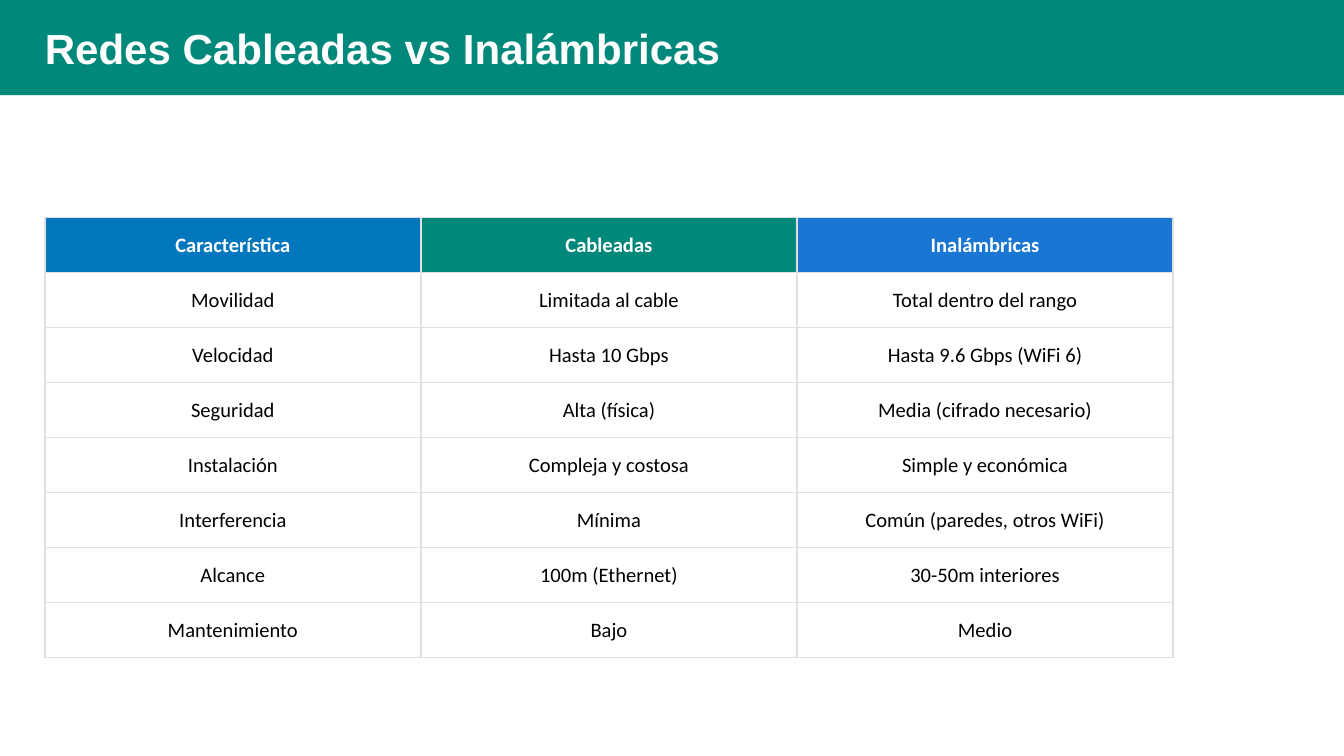
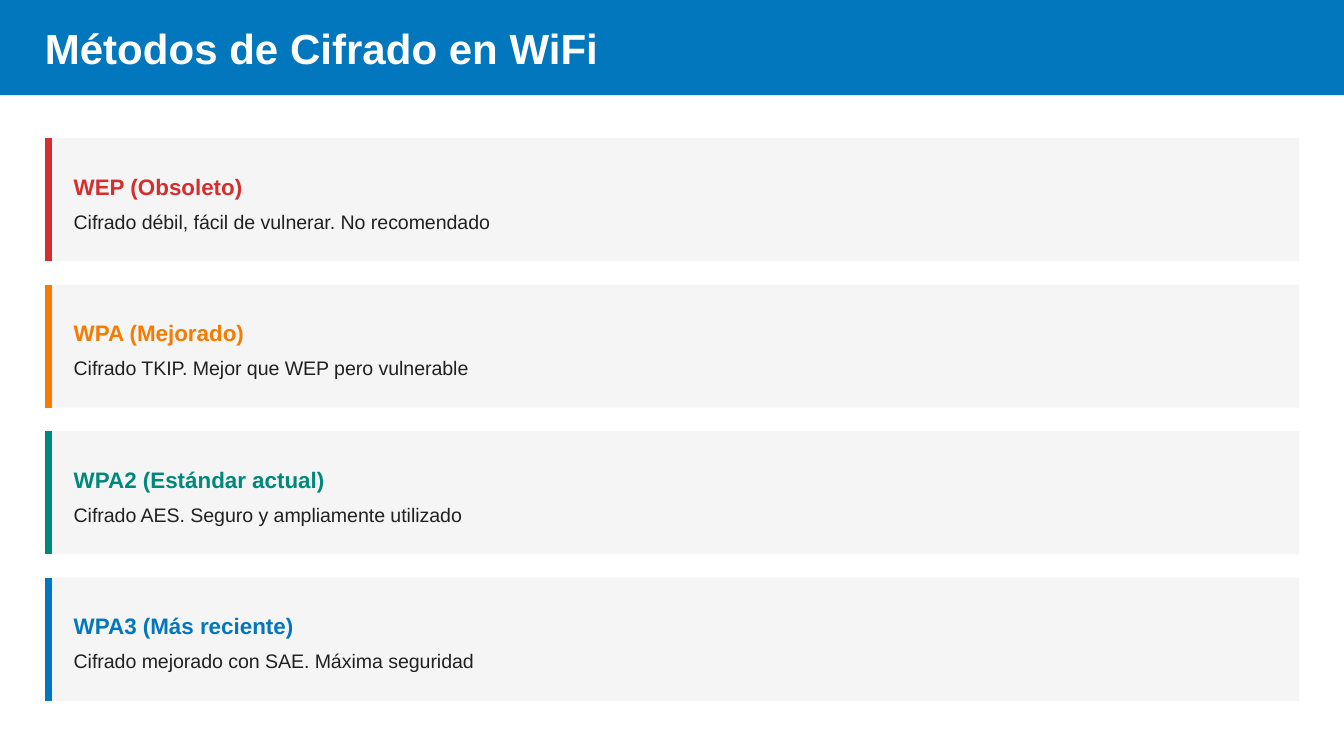
from lxml import etree
from pptx import Presentation
from pptx.dml.color import RGBColor
from pptx.enum.shapes import MSO_CONNECTOR, MSO_SHAPE
from pptx.enum.text import MSO_ANCHOR, PP_ALIGN
from pptx.oxml.ns import qn
from pptx.util import Emu, Pt

RECTANGLE = MSO_SHAPE.RECTANGLE
STRAIGHT = MSO_CONNECTOR.STRAIGHT
CENTER = PP_ALIGN.CENTER
MIDDLE = MSO_ANCHOR.MIDDLE

EMU_PER_PX = 6350
SLIDE_WIDTH, SLIDE_HEIGHT = 1440, 810
MARGIN = 48

WHITE, BLACK, DARK_GRAY = "FFFFFF", "000000", "212121"
CARD_GRAY, BORDER_GRAY = "F5F5F5", "E0E0E0"
BLUE, TEAL, BRIGHT_BLUE = "0277BD", "00897B", "1976D2"
RED, ORANGE = "D32F2F", "F57C00"

COMPARISON_HEADER = [("Característica", BLUE), ("Cableadas", TEAL),
                     ("Inalámbricas", BRIGHT_BLUE)]
COMPARISON_ROWS = [
    ("Movilidad", "Limitada al cable", "Total dentro del rango"),
    ("Velocidad", "Hasta 10 Gbps", "Hasta 9.6 Gbps (WiFi 6)"),
    ("Seguridad", "Alta (física)", "Media (cifrado necesario)"),
    ("Instalación", "Compleja y costosa", "Simple y económica"),
    ("Interferencia", "Mínima", "Común (paredes, otros WiFi)"),
    ("Alcance", "100m (Ethernet)", "30-50m interiores"),
    ("Mantenimiento", "Bajo", "Medio"),
]
ENCRYPTION_METHODS = [
    ("WEP (Obsoleto)", "Cifrado débil, fácil de vulnerar. No recomendado", RED),
    ("WPA (Mejorado)", "Cifrado TKIP. Mejor que WEP pero vulnerable", ORANGE),
    ("WPA2 (Estándar actual)", "Cifrado AES. Seguro y ampliamente utilizado", TEAL),
    ("WPA3 (Más reciente)", "Cifrado mejorado con SAE. Máxima seguridad", BLUE),
]


def px(length):
    return Emu(length * EMU_PER_PX)


def color(hex_string):
    return RGBColor.from_string(hex_string)


def write_text(text_frame, text, size, hex_color, font="Arial", bold=False,
               align=None, line_spacing=None):
    paragraph = text_frame.paragraphs[0]
    paragraph.alignment = align
    if line_spacing:
        paragraph.line_spacing = Pt(line_spacing)
    run = paragraph.add_run()
    run.text = text
    run.font.name = font
    run.font.size = Pt(size)
    run.font.bold = bold
    run.font.color.rgb = color(hex_color)


def add_text(slide, left, top, width, height, text, **text_format):
    text_frame = slide.shapes.add_textbox(
        px(left), px(top), px(width), px(height)).text_frame
    text_frame.word_wrap = True
    text_frame.margin_left = text_frame.margin_right = 0
    text_frame.margin_top = text_frame.margin_bottom = 0
    write_text(text_frame, text, **text_format)


def add_rectangle(slide, left, top, width, height, fill):
    shape = slide.shapes.add_shape(
        RECTANGLE, px(left), px(top), px(width), px(height))
    shape.shadow.inherit = False
    shape.fill.solid()
    shape.fill.fore_color.rgb = color(fill)
    shape.line.fill.background()


def add_vertical_line(slide, x, top, height, hex_color, width):
    connector = slide.shapes.add_connector(
        STRAIGHT, px(x), px(top), px(x), px(top + height))
    connector.line.color.rgb = color(hex_color)
    connector.line.width = Pt(width)
    etree.SubElement(connector._element.spPr, qn("a:effectLst"))


def add_titled_slide(presentation, title, band_color):
    slide = presentation.slides.add_slide(presentation.slide_layouts[6])
    slide.background.fill.solid()
    slide.background.fill.fore_color.rgb = color(WHITE)
    add_rectangle(slide, 0, 0, SLIDE_WIDTH, 102, band_color)
    add_text(slide, MARGIN, 24, SLIDE_WIDTH - 2 * MARGIN, 54, title,
             size=22.5, hex_color=WHITE, bold=True, line_spacing=27)
    return slide


def set_cell_borders(cell, hex_color, width):
    """Draw all four borders; they must come before the fill in the cell XML."""
    properties = cell._tc.get_or_add_tcPr()
    for index, side in enumerate(("lnL", "lnR", "lnT", "lnB")):
        border = etree.Element(qn(f"a:{side}"), w=str(Pt(width)))
        fill = etree.SubElement(border, qn("a:solidFill"))
        etree.SubElement(fill, qn("a:srgbClr"), val=hex_color)
        properties.insert(index, border)


def format_cell(cell, text, text_color, fill=None, bold=False):
    cell.vertical_anchor = MIDDLE
    if fill:
        cell.fill.solid()
        cell.fill.fore_color.rgb = color(fill)
    else:
        cell.fill.background()
    set_cell_borders(cell, BORDER_GRAY, 1)
    write_text(cell.text_frame, text, size=11, hex_color=text_color,
               font="Calibri", bold=bold, align=CENTER)


def add_comparison_table(slide, left, top, column_width, row_height):
    row_count, column_count = len(COMPARISON_ROWS) + 1, len(COMPARISON_HEADER)
    table = slide.shapes.add_table(
        row_count, column_count, px(left), px(top),
        px(column_width * column_count), px(row_height * row_count)).table
    table.first_row = table.horz_banding = False
    for column, (text, fill) in enumerate(COMPARISON_HEADER):
        format_cell(table.cell(0, column), text, WHITE, fill, bold=True)
    for row, values in enumerate(COMPARISON_ROWS, start=1):
        for column, text in enumerate(values):
            format_cell(table.cell(row, column), text, BLACK)


def add_method_card(slide, top, name, description, accent):
    width, height = SLIDE_WIDTH - 2 * MARGIN, 132
    text_left, text_width = MARGIN + 31, 1315
    add_rectangle(slide, MARGIN, top, width, height, CARD_GRAY)
    add_vertical_line(slide, MARGIN + 4, top, height, accent, 3.75)
    add_text(slide, text_left, top + 30, text_width, 36, name,
             size=12, hex_color=accent, bold=True, line_spacing=18)
    add_text(slide, text_left, top + 72, text_width, 30, description,
             size=10.5, hex_color=DARK_GRAY, line_spacing=15)


def main():
    presentation = Presentation()
    presentation.slide_width = px(SLIDE_WIDTH)
    presentation.slide_height = px(SLIDE_HEIGHT)

    slide = add_titled_slide(presentation, "Redes Cableadas vs Inalámbricas", TEAL)
    add_comparison_table(slide, MARGIN, 233, column_width=403, row_height=59)

    slide = add_titled_slide(presentation, "Métodos de Cifrado en WiFi", BLUE)
    for index, method in enumerate(ENCRYPTION_METHODS):
        add_method_card(slide, 148 + 157 * index, *method)

    presentation.save("out.pptx")


if __name__ == "__main__":
    main()
